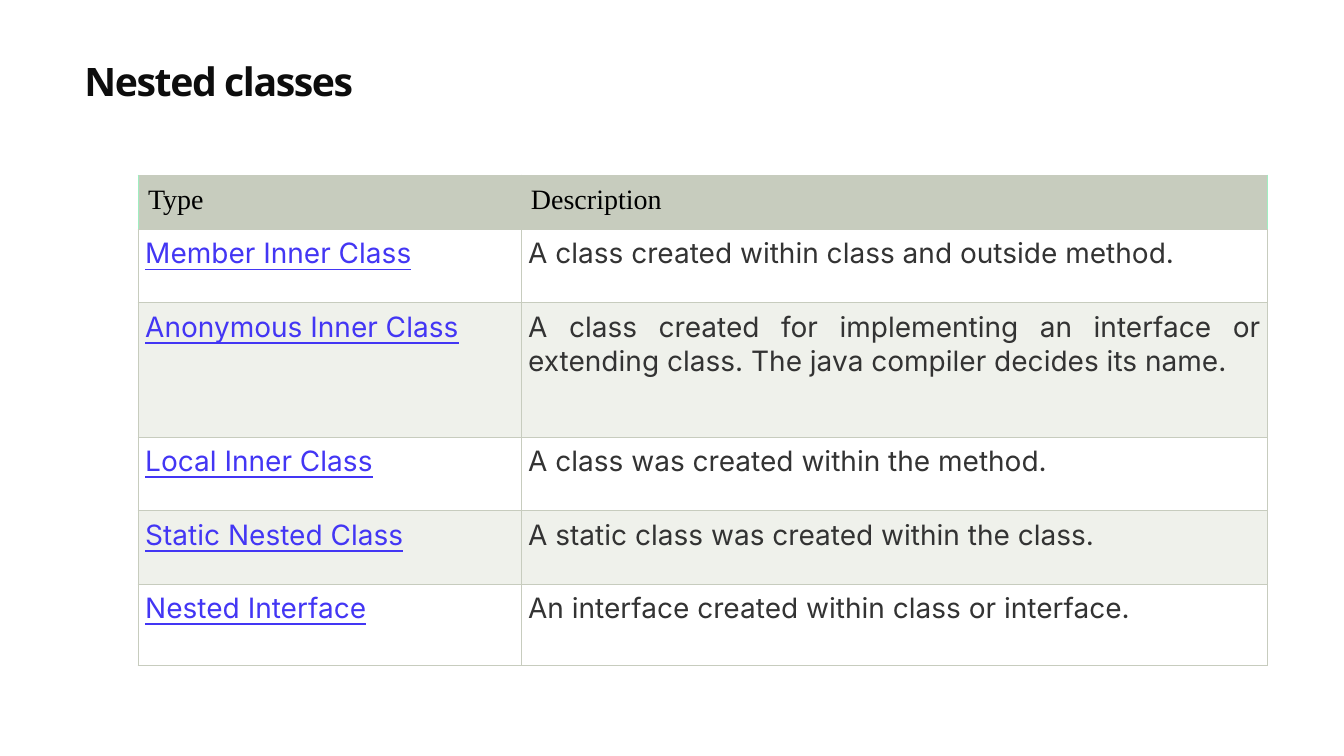
from lxml.etree import SubElement
from pptx import Presentation
from pptx.dml.color import RGBColor
from pptx.enum.text import MSO_ANCHOR, PP_ALIGN
from pptx.oxml.ns import qn
from pptx.util import Cm, Pt

TITLE = "Nested classes"
HEADER = ("Type", "Description")
CLASSES = [
    ("Member Inner Class", "A class created within class and outside method."),
    ("Anonymous Inner Class", "A class created for implementing an interface or "
     "extending class. The java compiler decides its name."),
    ("Local Inner Class", "A class was created within the method."),
    ("Static Nested Class", "A static class was created within the class."),
    ("Nested Interface", "An interface created within class or interface."),
]
COLUMN_WIDTHS = (9.65, 18.82)
ROW_HEIGHTS = (1.37, 1.85, 3.39, 1.85, 1.85, 2.04)
COLORS = {
    "title": "0D0D0D", "heading": "000000", "link": "4336F4", "body": "333333",
    "rule": "C7CCBE", "accent": "A0EEC0", "band": "EFF1EB", "plain": "FFFFFF",
}
FORMATS = {
    "title": {"name": "Open Sans", "size": Pt(28), "bold": True},
    "heading": {"name": "Times New Roman", "size": Pt(20), "bold": False},
    "link": {"name": "Inter", "size": Pt(20), "underline": True},
    "body": {"name": "Inter", "size": Pt(20), "underline": False},
}


def set_attributes(target, values):
    for name, value in values.items():
        setattr(target, name, value)


def margins(length):
    return {f"margin_{side}": Cm(length) for side in ("left", "top", "right", "bottom")}


def write(frame, text, role):
    """Put one run in the first paragraph, styled by its role, and return it."""
    run = frame.paragraphs[0].add_run()
    run.text = text
    set_attributes(run.font, FORMATS[role])
    run.font.color.rgb = RGBColor.from_string(COLORS[role])
    return run


def add_borders(cell, accent_side):
    """Rule all four sides, with the accent colour on one of them if named."""
    properties = cell._tc.get_or_add_tcPr()
    for side in ("lnL", "lnR", "lnT", "lnB"):
        line = SubElement(properties, qn(f"a:{side}"), w=str(Pt(0.6)))
        fill = SubElement(line, qn("a:solidFill"))
        color = COLORS["accent" if side == accent_side else "rule"]
        SubElement(fill, qn("a:srgbClr"), val=color)


def add_title(slide):
    box = slide.shapes.add_textbox(Cm(2.13), Cm(1.4), Cm(28), Cm(1.22))
    set_attributes(box.text_frame, {
        "word_wrap": True, "vertical_anchor": MSO_ANCHOR.BOTTOM, **margins(0)})
    title = write(box.text_frame, TITLE, "title")
    title._r.get_or_add_rPr().set("spc", "-100")


def add_class_table(slide):
    rows = [HEADER, *CLASSES]
    table = slide.shapes.add_table(
        len(rows), len(HEADER), Cm(3.48), Cm(4.41),
        Cm(sum(COLUMN_WIDTHS)), Cm(sum(ROW_HEIGHTS))).table
    for column, width in zip(table.columns, COLUMN_WIDTHS):
        column.width = Cm(width)
    for row, height in zip(table.rows, ROW_HEIGHTS):
        row.height = Cm(height)

    for r, texts in enumerate(rows):
        is_header = r == 0
        shade = "rule" if is_header else "plain" if r % 2 else "band"
        for c, text in enumerate(texts):
            cell = table.cell(r, c)
            set_attributes(cell, margins(0.25 if is_header else 0.18))
            add_borders(cell, ("lnL", "lnR")[c] if is_header else None)
            cell.fill.solid()
            cell.fill.fore_color.rgb = RGBColor.from_string(COLORS[shade])
            write(cell.text_frame, text, "heading" if is_header else ("link", "body")[c])
            if not is_header:
                cell.text_frame.paragraphs[0].alignment = PP_ALIGN.JUSTIFY


def main():
    deck = Presentation()
    set_attributes(deck, {"slide_width": Cm(33.87), "slide_height": Cm(19.05)})
    slide = deck.slides.add_slide(deck.slide_layouts[6])
    add_title(slide)
    add_class_table(slide)
    deck.save("out.pptx")


if __name__ == "__main__":
    main()
